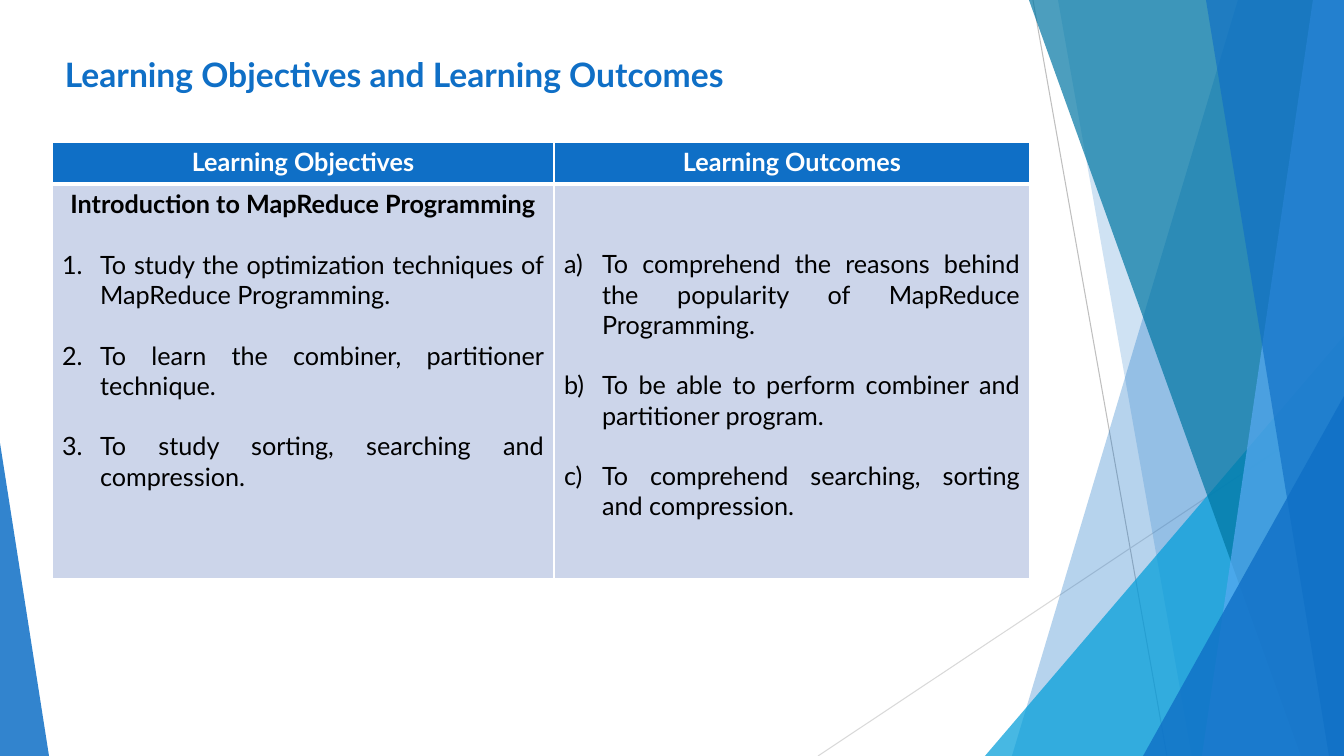
from lxml import etree
from pptx import Presentation
from pptx import util as u
from pptx.dml.color import RGBColor
from pptx.enum import shapes, text
from pptx.oxml.ns import qn

# Content
TITLE = "Learning Objectives and Learning Outcomes"
HEADERS = ["Learning Objectives", "Learning Outcomes"]
TOPIC = "Introduction to MapReduce Programming"
OBJECTIVES = [
    "To study the optimization techniques of MapReduce Programming.",
    "To learn the combiner, partitioner technique.",
    "To study sorting, searching and compression.",
]
OUTCOMES = [
    "To comprehend the reasons behind the popularity of MapReduce Programming.",
    "To be able to perform combiner and partitioner program.",
    "To comprehend searching, sorting and compression.",
]

# Theme and layout, lengths in pixels
THEME = {
    "font": "Lato", "title": 24, "body": 18, "gap": 21.6,
    "blue": "0F6FC6", "cyan": "009DD9", "teal": "0076A3", "sky": "59AAF2",
    "cell": "CCD5EA", "white": "FFFFFF", "black": "000000",
    "grey": "BFBFBF", "pale": "D9D9D9",
}
WIDTH, HEIGHT = 1344, 756
PX = 12192000 / WIDTH
TITLE_BOX = (55, 49, 800, 51)
TABLE_AT = (52, 142)
COLUMNS, ROWS = (502, 476), (42, 395)
INDENT, OUTCOMES_TOP = 38, 65

# Decoration: rays are (x1, y1, x2, y2, colour)
RAYS = [(1033, 0, 1167, HEIGHT, "grey"), (WIDTH, 406, 818, HEIGHT, "pale")]
# Facets run to the right edge: (top x, bottom x, colour, opacity %)
BACK_FACETS = [(1238, 1012, "blue", 30), (1058, 1192, "blue", 20)]
FRONT_FACETS = [(1029, 1301, "teal", 70), (1313, 1202, "sky", 70),
                (1206, 1329, "blue", 65)]
# Wedges stand on the bottom edge: (left, right, top, apex, colour, opacity %)
BACK_WEDGES = [(985, WIDTH, 336, 1, "cyan", 72)]
FRONT_WEDGES = [(1143, WIDTH, 396, 1, "blue", 80), (0, 49, 443, 0, "blue", 85)]


def px(n):
    """Turn pixels into EMU."""
    return u.Emu(round(n * PX))


def color(name):
    """Look up a theme colour."""
    return RGBColor.from_string(THEME[name])


def assign(obj, **values):
    """Set attributes from keyword values."""
    for key, value in values.items():
        setattr(obj, key, value)


def paint(sp, name, opacity):
    """Give a shape a translucent fill without line or shadow."""
    sp.shadow.inherit = False
    sp.line.fill.background()
    sp.fill.solid()
    sp.fill.fore_color.rgb = color(name)
    clr = sp.fill._xPr.find(qn("a:solidFill"))[0]
    etree.SubElement(clr, qn("a:alpha"), val=str(opacity * 1000))


def add_rays(s):
    """Draw the thin crossing lines."""
    for *ends, name in RAYS:
        ray = s.shapes.add_connector(shapes.MSO_CONNECTOR.STRAIGHT, *map(px, ends))
        ray.line.color.rgb = color(name)
        ray.line.width = u.Pt(0.75)
        etree.SubElement(ray._element.spPr, qn("a:effectLst"))


def add_facets(s, facets):
    """Draw slanted full-height panels ending at the right edge."""
    for top, bottom, name, opacity in facets:
        fb = s.shapes.build_freeform(top, 0, scale=PX)
        fb.add_line_segments([(WIDTH, 0), (WIDTH, HEIGHT), (bottom, HEIGHT)])
        paint(fb.convert_to_shape(), name, opacity)


def add_wedges(s, wedges):
    """Draw right-angled triangles standing on the bottom edge."""
    for left, right, top, apex, name, opacity in wedges:
        box = map(px, (left, top, right - left, HEIGHT - top))
        sp = s.shapes.add_shape(shapes.MSO_SHAPE.ISOSCELES_TRIANGLE, *box)
        sp.adjustments[0] = apex
        paint(sp, name, opacity)


def write(p, words, size="body", name="black", bold=False):
    """Add one formatted run to a paragraph."""
    r = p.add_run()
    r.text = words
    assign(r.font, name=THEME["font"], size=u.Pt(THEME[size]), bold=bold)
    r.font.color.rgb = color(name)


def add_items(tf, items, scheme):
    """Fill a text frame with justified, automatically numbered items."""
    for item in items:
        p = tf.paragraphs[0] if not tf.text else tf.add_paragraph()
        first = p is None or not tf.text
        assign(p, alignment=text.PP_ALIGN.JUSTIFY,
               space_before=u.Pt(0 if first else THEME["gap"]))
        pPr = p._p.get_or_add_pPr()
        pPr.set("marL", str(px(INDENT)))
        pPr.set("indent", str(-px(INDENT)))
        etree.SubElement(pPr, qn("a:buFont"), typeface="+mj-lt")
        etree.SubElement(pPr, qn("a:buAutoNum"), type=scheme)
        write(p, item)


def style_cell(cell, fill, bottom):
    """Set white borders and a solid fill on a cell."""
    tcPr = cell._tc.get_or_add_tcPr()
    for side, points in {"L": 1, "R": 1, "T": 1, "B": bottom}.items():
        ln = etree.SubElement(tcPr, qn("a:ln" + side), w=str(u.Pt(points)))
        sf = etree.SubElement(ln, qn("a:solidFill"))
        etree.SubElement(sf, qn("a:srgbClr"), val=THEME["white"])
    cell.fill.solid()
    cell.fill.fore_color.rgb = color(fill)


def add_heading(p, words, name):
    """Write a centred bold line."""
    p.alignment = text.PP_ALIGN.CENTER
    write(p, words, name=name, bold=True)


def add_goals(s):
    """Build the table of objectives and outcomes."""
    box = map(px, (*TABLE_AT, sum(COLUMNS), sum(ROWS)))
    table = s.shapes.add_table(len(ROWS), len(COLUMNS), *box).table
    for col, width in zip(table.columns, COLUMNS):
        col.width = px(width)
    for row, height in zip(table.rows, ROWS):
        row.height = px(height)
    for i, header in enumerate(HEADERS):
        style_cell(table.cell(0, i), "blue", 3)
        style_cell(table.cell(1, i), "cell", 1)
        add_heading(table.cell(0, i).text_frame.paragraphs[0], header, "white")
    objectives, outcomes = table.cell(1, 0), table.cell(1, 1)
    add_heading(objectives.text_frame.paragraphs[0], TOPIC, "black")
    add_items(objectives.text_frame, OBJECTIVES, "arabicPeriod")
    outcomes.margin_top = px(OUTCOMES_TOP)
    add_items(outcomes.text_frame, OUTCOMES, "alphaLcParenR")


def add_title(s):
    """Write the slide title."""
    tf = s.shapes.add_textbox(*map(px, TITLE_BOX)).text_frame
    assign(tf, word_wrap=True, vertical_anchor=text.MSO_ANCHOR.MIDDLE)
    write(tf.paragraphs[0], TITLE, "title", "blue", True)


prs = Presentation()
assign(prs, slide_width=px(WIDTH), slide_height=px(HEIGHT))
s = prs.slides.add_slide(prs.slide_layouts[6])
add_rays(s)
add_facets(s, BACK_FACETS)
add_wedges(s, BACK_WEDGES)
add_facets(s, FRONT_FACETS)
add_wedges(s, FRONT_WEDGES)
add_title(s)
add_goals(s)
prs.save("out.pptx")
